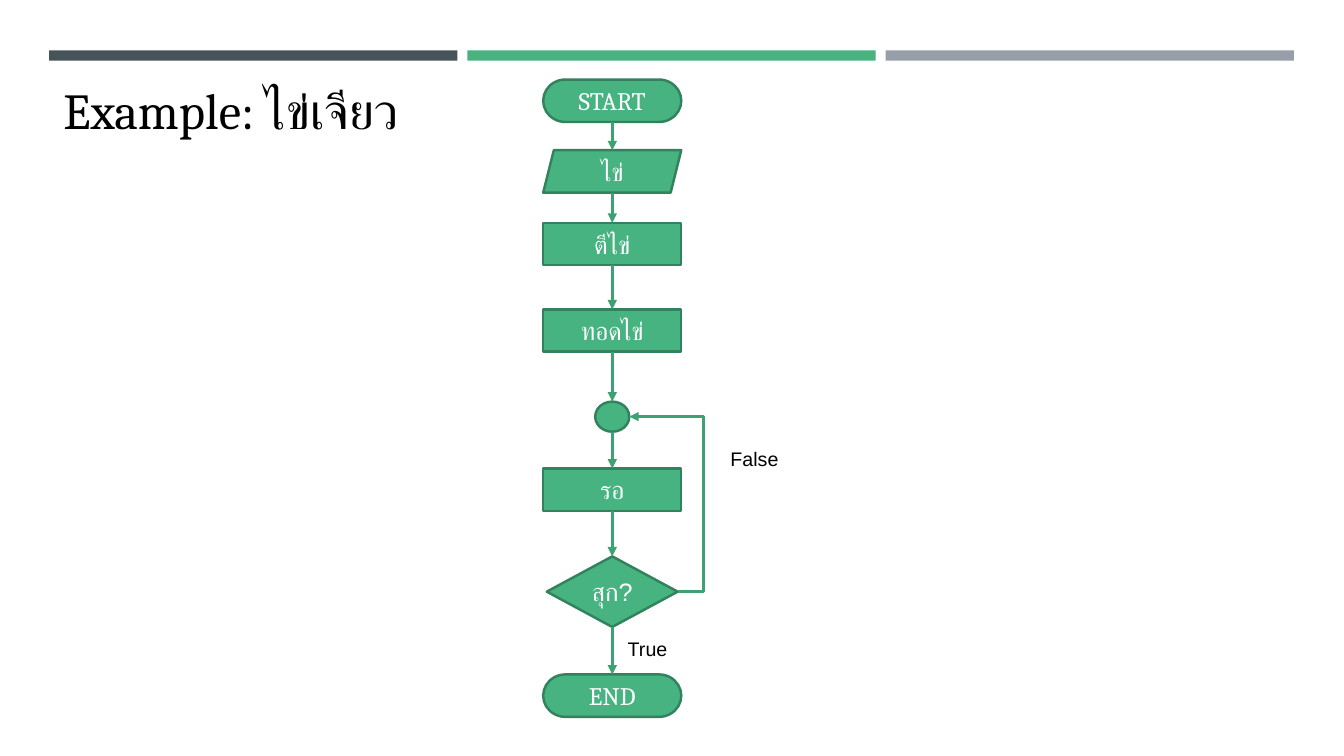
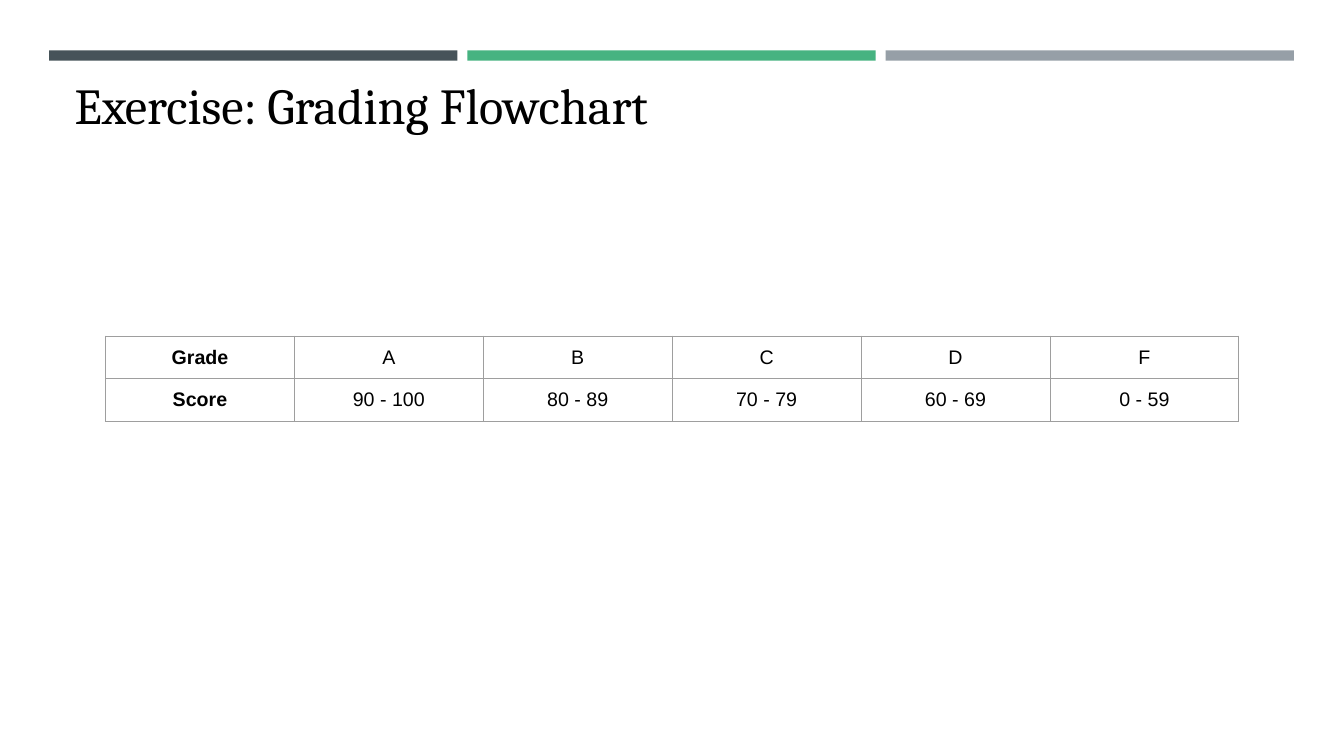
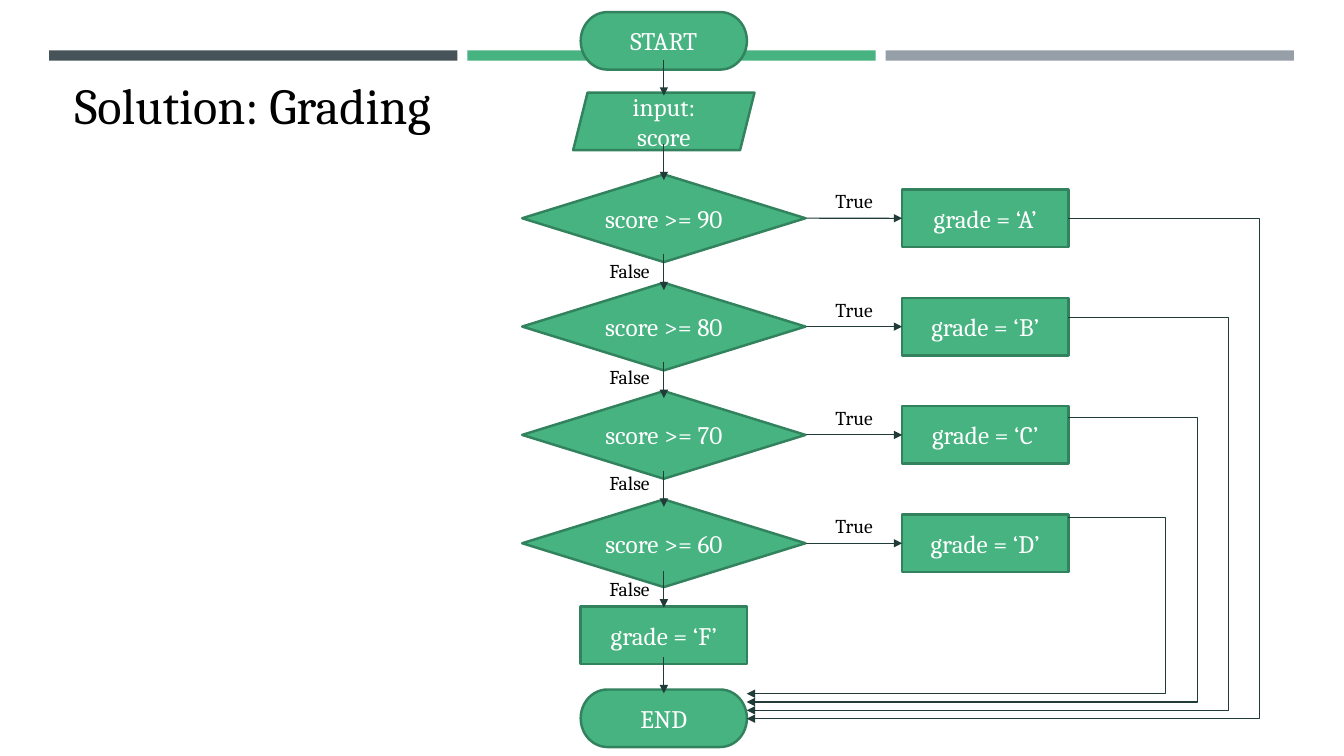
"""Build three slides on flowcharts: cooking an omelette and grading a score."""
from lxml import etree
from pptx import Presentation
from pptx.dml.color import RGBColor
from pptx.enum import shapes as es, text as et
from pptx.oxml.ns import qn
from pptx.util import Cm, Pt

hue = RGBColor.from_string
GREEN, EDGE, ARROW, DARK, GRID = "46B381", "33825E", "3EA174", "213B39", "9E9E9E"
OVAL, SLANT = es.MSO_SHAPE.FLOWCHART_TERMINATOR, es.MSO_SHAPE.PARALLELOGRAM
RECT, RHOMB, DOT = es.MSO_SHAPE.RECTANGLE, es.MSO_SHAPE.DIAMOND, es.MSO_SHAPE.OVAL
LEFT, MID = et.PP_ALIGN.LEFT, et.PP_ALIGN.CENTER
TOP, HALF, LOW = et.MSO_ANCHOR.TOP, et.MSO_ANCHOR.MIDDLE, et.MSO_ANCHOR.BOTTOM


def write(item, words, size, name="Cambria", tint="000000", side=MID, anchor=HALF, pad=0.25, bold=False):
    """Fill a shape or table cell with one formatted paragraph."""
    host = item if hasattr(item, "margin_left") else item.text_frame
    room = dict(margin_left=Cm(0.25), margin_right=Cm(0.25), margin_top=Cm(pad),
                margin_bottom=Cm(pad), vertical_anchor=anchor)
    for key, val in room.items():
        setattr(host, key, val)
    frame = item.text_frame
    frame.word_wrap = True
    frame.text = words
    para = frame.paragraphs[0]
    para.alignment = side
    for run in para.runs:
        for key, val in dict(name=name, size=Pt(size), bold=bold).items():
            setattr(run.font, key, val)
        run.font.color.rgb = hue(tint)
        etree.SubElement(run._r.get_or_add_rPr(), qn("a:cs"), typeface=name)


def link(page, start, end, tint, width, bend=None):
    """Draw an arrow; bend is the x at which an elbow turns."""
    kind = es.MSO_CONNECTOR.STRAIGHT if bend is None else es.MSO_CONNECTOR.ELBOW
    line = page.shapes.add_connector(kind, *map(Cm, start + end))
    line.line.color.rgb = hue(tint)
    line.line.width = Pt(width)
    props = line.element.spPr
    etree.SubElement(props.find(qn("a:ln")), qn("a:tailEnd"), type="triangle")
    etree.SubElement(props, qn("a:effectLst"))
    if bend is not None:
        turn = round((bend - start[0]) / (end[0] - start[0]) * 100000)
        guides = props.find(qn("a:prstGeom")).get_or_add_avLst()
        etree.SubElement(guides, qn("a:gd"), name="adj1", fmla=f"val {turn}")
    return line


deck = Presentation()
deck.slide_width, deck.slide_height = Cm(33.87), Cm(19.05)
layout = deck.slide_layouts[5]
for holder in list(layout.placeholders)[1:]:
    holder.element.getparent().remove(holder.element)

titles = [
    ("Example: ไข่เจียว", (1.35, 1.75, 11.53, 2.67), TOP, 0.25),
    ("Exercise: Grading Flowchart", (1.63, 1.96, 30.63, 1.55), LOW, 0.13),
    ("Solution: Grading", (1.63, 1.96, 9.68, 1.55), LOW, 0.13),
]
pages = []
for words, area, anchor, pad in titles:
    page = deck.slides.add_slide(layout)
    title = page.shapes.title
    for key, val in zip(("left", "top", "width", "height"), area):
        setattr(title, key, Cm(val))
    write(title, words, 36, side=LEFT, anchor=anchor, pad=pad)
    title.text_frame.auto_size = et.MSO_AUTO_SIZE.NONE
    pages.append(page)
cook, task, grade = pages

bands = []
for i, tint in enumerate(("465359", GREEN, "969FA7")):
    band = cook.shapes.add_shape(RECT, Cm(1.24 + 10.54 * i), Cm(1.27), Cm(10.29), Cm(0.26))
    band.shadow.inherit = False
    band.fill.solid()
    band.fill.fore_color.rgb = hue(tint)
    band.line.fill.background()
    bands.append(band)
for band in bands:
    layout.shapes.element.append(band.element)

AXIS, SPINE, SIDE = 15.43, 16.73, 24.83
steps = [
    (OVAL, "START", 2.54, 3.48, 1.07),
    (SLANT, "ไข่", 4.32, 3.48, 1.07),
    (RECT, "ตีไข่", 6.15, 3.48, 1.07),
    (RECT, "ทอดไข่", 8.33, 3.48, 1.07),
    (DOT, "", 10.5, 0.86, 0.76),
    (RECT, "รอ", 12.34, 3.48, 1.07),
    (RHOMB, "สุก?", 14.91, 3.3, 1.78),
    (OVAL, "END", 17.53, 3.48, 1.07),
]
rows = [(5.5 + 2.73 * i, mark, 90 - 10 * i) for i, mark in enumerate("ABCD")]
boxes = [(cook, kind, words, AXIS, y, w, h) for kind, words, y, w, h in steps]
boxes += [
    (grade, OVAL, "START", SPINE, 1.03, 4.19, 1.45),
    (grade, SLANT, "input: score", SPINE, 3.06, 4.57, 1.45),
    (grade, RECT, "grade = ‘F’", SPINE, 16.01, 4.19, 1.45),
    (grade, OVAL, "END", SPINE, 18.1, 4.19, 1.45),
]
for y, mark, least in rows:
    boxes.append((grade, RHOMB, f"score >= {least}", SPINE, y, 7.14, 2.21))
    boxes.append((grade, RECT, f"grade = ‘{mark}’", SIDE, y, 4.19, 1.45))

drawn = []
for page, kind, words, x, y, w, h in boxes:
    box = page.shapes.add_shape(kind, Cm(x - w / 2), Cm(y - h / 2), Cm(w), Cm(h))
    box.shadow.inherit = False
    box.fill.solid()
    box.fill.fore_color.rgb = hue(GREEN)
    box.line.color.rgb = hue(EDGE)
    box.line.width = Pt(1.75)
    write(box, words, 18, "Arial" if "?" in words else "Cambria", "FFFFFF", pad=0.13)
    drawn.append(box)

for i, (here, then) in enumerate(zip(steps, steps[1:])):
    line = link(cook, (AXIS, here[2] + here[4] / 2), (AXIS, then[2] - then[4] / 2), ARROW, 2.25)
    if here[0] not in (SLANT, DOT):
        line.begin_connect(drawn[i], 2)
    if then[0] not in (SLANT, DOT):
        line.end_connect(drawn[i + 1], 0)
link(cook, (17.08, 14.91), (15.86, 10.5), ARROW, 2.25, 17.73)

for i, (y, mark, least) in enumerate(rows):
    link(grade, (26.92, 5.5 + 2.51 * i), (18.82, 18.11 - 0.21 * i), DARK, 0.75, 31.75 - 0.79 * i)
    line = link(grade, (20.3, y), (22.73, y), DARK, 0.75)
    test = len(steps) + 4 + 2 * i
    line.begin_connect(drawn[test], 3)
    line.end_connect(drawn[test + 1], 1)
for y in (1.5, 3.63, 6.4, 9.12, 11.86, 14.4, 16.56):
    link(grade, (SPINE, y), (SPINE, y + 0.91), DARK, 0.75)

plain = dict(name="Arial", side=LEFT, anchor=TOP)
labels = [
    (cook, "True", 15.57, 15.8, 2.44, 0.76, plain),
    (cook, "False", 18.16, 11, 2.44, 0.76, plain),
]
for i, (y, mark, least) in enumerate(rows):
    labels.append((grade, "False", 14.99, 6.38 + 2.67 * i, 1.75, 0.89, {}))
    labels.append((grade, "True", 20.65, y - 0.88, 1.75, 0.89, {}))
for page, words, x, y, w, h, look in labels:
    write(page.shapes.add_textbox(Cm(x), Cm(y), Cm(w), Cm(h)), words, 14, **look)

scores = [
    ("Grade", "A", "B", "C", "D", "F"),
    ("Score", "90 - 100", "80 - 89", "70 - 79", "60 - 69", "0 - 59"),
]
table = task.shapes.add_table(2, 6, Cm(2.66), Cm(8.47), Cm(6 * 4.76), Cm(2 * 1.07)).table
table.first_row = table.horz_banding = False
for r, row in enumerate(scores):
    for c, words in enumerate(row):
        cell = table.cell(r, c)
        write(cell, words, 14, "Arial", bold=c == 0)
        props = cell._tc.get_or_add_tcPr()
        for edge in ("a:lnL", "a:lnR", "a:lnT", "a:lnB"):
            rule = etree.SubElement(props, qn(edge), w=str(Pt(0.75)))
            paint = etree.SubElement(rule, qn("a:solidFill"))
            etree.SubElement(paint, qn("a:srgbClr"), val=GRID)
        cell.fill.background()

deck.save("out.pptx")
